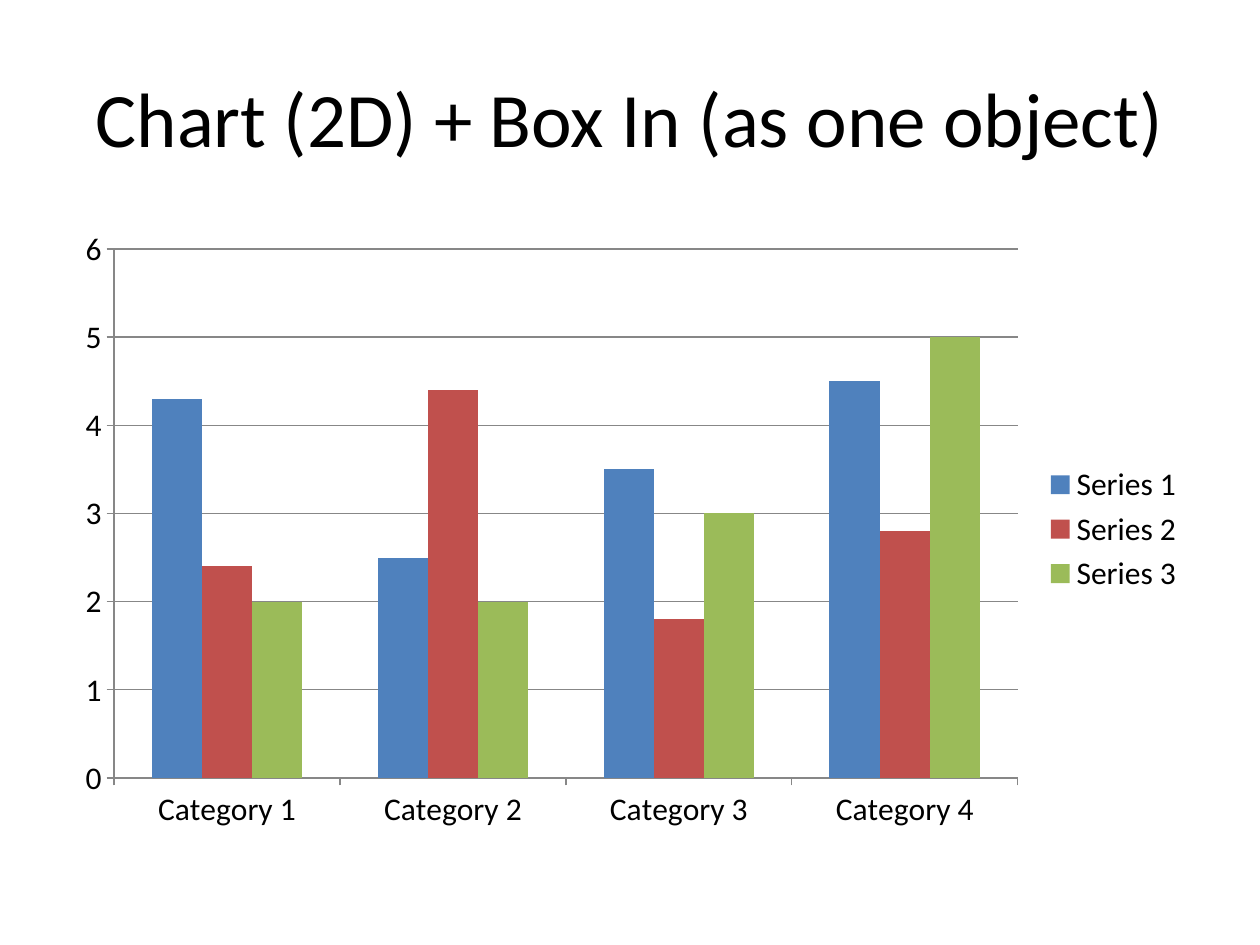
import pptx
import pptx.util
import pptx.chart.data
import pptx.dml.color
import pptx.enum.chart
import pptx.enum.text

WIDE, HIGH = 10, 7.5
FONT = "Calibri"
CATS = [f"Category {n}" for n in range(1, 5)]
ROWS = [
    ("Series 1", (4.3, 2.5, 3.5, 4.5), "4F81BD"),
    ("Series 2", (2.4, 4.4, 1.8, 2.8), "C0504D"),
    ("Series 3", (2, 2, 3, 5), "9BBB59"),
]


def paint(color, code):
    color.rgb = pptx.dml.color.RGBColor.from_string(code)


def area(left, top, width, height):
    """Turn shares of the slide's size into lengths."""
    sides = (left * WIDE, top * HIGH, width * WIDE, height * HIGH)
    return [pptx.util.Inches(side) for side in sides]


def style(font, size):
    font.name = FONT
    font.size = pptx.util.Pt(size)
    paint(font.color, "000000")


def add_title(slide, text):
    title = slide.shapes.title
    title.left, title.top, title.width, title.height = area(0.05, 0.04, 0.9, 1 / 6)
    frame = title.text_frame
    frame.word_wrap = True
    frame.vertical_anchor = pptx.enum.text.MSO_ANCHOR.MIDDLE
    para = frame.paragraphs[0]
    para.alignment = pptx.enum.text.PP_ALIGN.CENTER
    run = para.add_run()
    run.text = text
    style(run.font, 44)


def set_axis(axis):
    axis.major_tick_mark = pptx.enum.chart.XL_TICK_MARK.OUTSIDE
    axis.minor_tick_mark = pptx.enum.chart.XL_TICK_MARK.NONE
    paint(axis.format.line.color, "878787")


def add_chart(slide):
    data = pptx.chart.data.CategoryChartData()
    data.categories = CATS
    for name, vals, _ in ROWS:
        data.add_series(name, vals)
    kind = pptx.enum.chart.XL_CHART_TYPE.COLUMN_CLUSTERED
    chart = slide.shapes.add_chart(kind, *area(0.05, 0.23, 0.9, 0.66), data).chart
    chart.has_title = False
    style(chart.font, 18)

    # Columns
    plot = chart.plots[0]
    plot.vary_by_categories = False
    plot.gap_width = 150
    for bars, (_, _, code) in zip(plot.series, ROWS):
        bars.format.fill.solid()
        paint(bars.format.fill.fore_color, code)

    # Axes and grid
    set_axis(chart.category_axis)
    value = chart.value_axis
    set_axis(value)
    value.minimum_scale, value.maximum_scale, value.major_unit = 0, 6, 1
    value.has_major_gridlines = True
    paint(value.major_gridlines.format.line.color, "878787")

    # Legend
    chart.has_legend = True
    chart.legend.position = pptx.enum.chart.XL_LEGEND_POSITION.RIGHT
    chart.legend.include_in_layout = False


def main():
    deck = pptx.Presentation()
    deck.slide_width = pptx.util.Inches(WIDE)
    deck.slide_height = pptx.util.Inches(HIGH)
    slide = deck.slides.add_slide(deck.slide_layouts[5])
    add_title(slide, "Chart (2D) + Box In (as one object)")
    add_chart(slide)
    deck.save("out.pptx")


if __name__ == "__main__":
    main()
